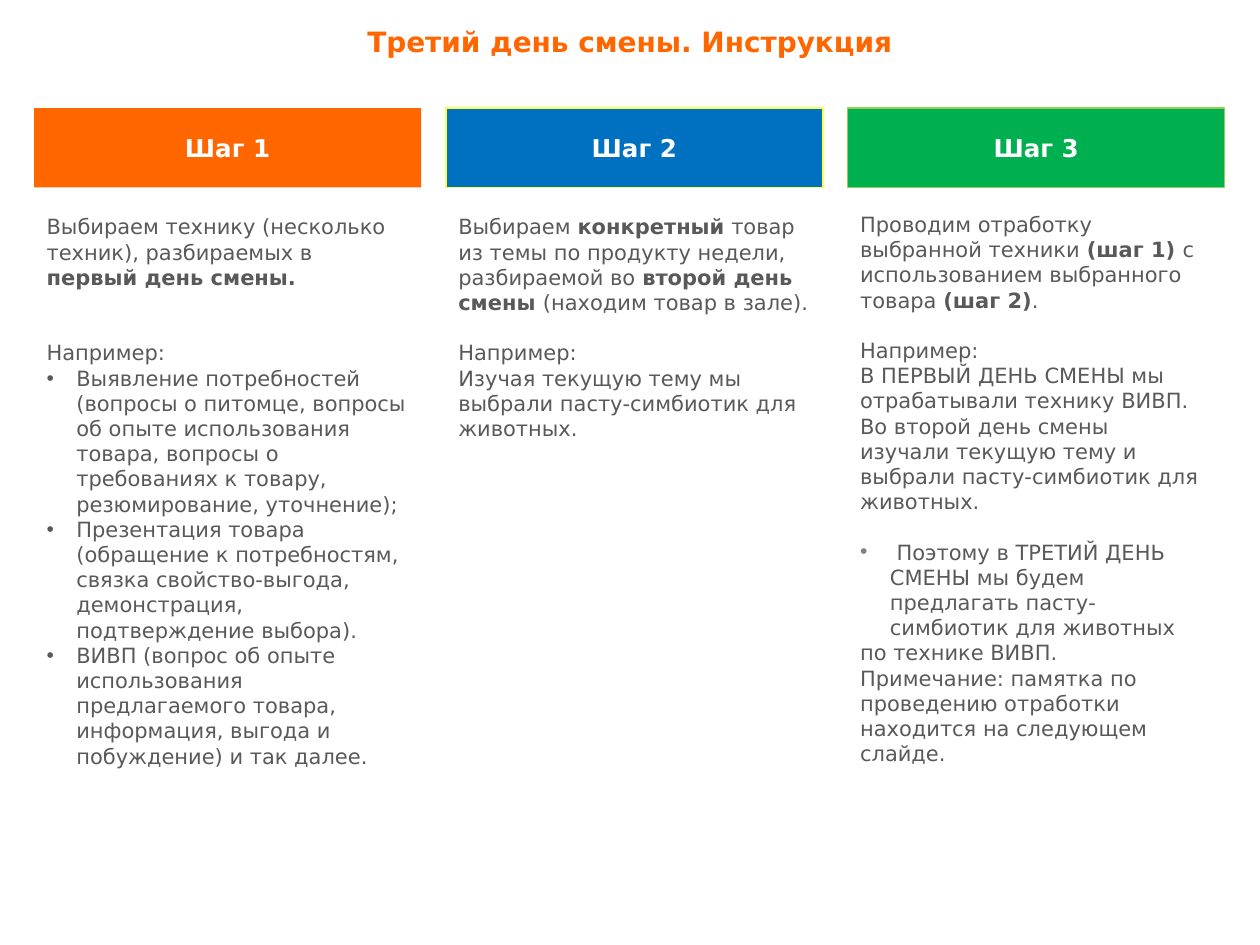
from lxml import etree
from pptx import Presentation
from pptx import util as u
from pptx.dml.color import RGBColor
from pptx.enum import shapes, text
from pptx.oxml import ns

GREY = "595959"
GAP = 14.4


def tint(code):
    return RGBColor.from_string(code)


def dot(para, color):
    props = para._p.get_or_add_pPr()
    props.set("marL", str(u.Cm(0.6)))
    props.set("indent", str(-u.Cm(0.6)))
    shade = etree.SubElement(props, ns.qn("a:buClr"))
    etree.SubElement(shade, ns.qn("a:srgbClr"), val=color)
    etree.SubElement(props, ns.qn("a:buFont"), typeface="Arial")
    etree.SubElement(props, ns.qn("a:buChar"), char="•")


def write(frame, words, size=12, color=GREY, bold=False, align="LEFT", bullet=None, before=0):
    para = frame.paragraphs[0] if not frame.text else frame.add_paragraph()
    if bullet:
        dot(para, bullet)
    para.alignment = getattr(text.PP_ALIGN, align)
    if before:
        para.space_before = u.Pt(before)
    for index, part in enumerate(words.split("*")):
        if part:
            run = para.add_run()
            run.text = part
            run.font.name = "DejaVu Sans"
            run.font.size = u.Pt(size)
            run.font.bold = bold or index % 2 == 1
            run.font.color.rgb = tint(color)


class Deck:
    def __init__(self):
        self.show = Presentation()
        self.show.slide_width = u.Cm(25.4)
        self.show.slide_height = u.Cm(19.05)
        self.slide = self.show.slides.add_slide(self.show.slide_layouts[6])

    def label(self, left, top, width, height):
        box = self.slide.shapes.add_textbox(*map(u.Cm, (left, top, width, height)))
        box.text_frame.word_wrap = True
        return box.text_frame

    def title(self, words):
        write(self.label(0, 0.38, 25.4, 0.94), words, size=16, color="FF6600",
              bold=True, align="CENTER")

    def head(self, words, left, width, fill, edge):
        box = self.slide.shapes.add_shape(
            shapes.MSO_SHAPE.RECTANGLE, *map(u.Cm, (left, 2.18, width, 1.6)))
        box.shadow.inherit = False
        box.fill.solid()
        box.fill.fore_color.rgb = tint(fill)
        if edge:
            box.line.color.rgb = tint(edge)
            box.line.width = u.Pt(0.75)
        else:
            box.line.fill.background()
        box.text_frame.vertical_anchor = text.MSO_ANCHOR.MIDDLE
        write(box.text_frame, words, size=14, color="FFFFFF", bold=True, align="CENTER")

    def body(self, left, top, width, height, paras):
        frame = self.label(left, top, width, height)
        for words, style in paras:
            write(frame, words, **style)


def main():
    plain = {}
    apart = {"before": GAP}
    item = {"bullet": GREY}
    steps = [
        ("Шаг 1", 0.69, 7.8, "FF6600", None, (4.19, 7.8, 12.6), [
            ("Выбираем технику (несколько техник), разбираемых в *первый день смены.*", plain),
            ("Например:", {"before": 2 * GAP}),
            ("Выявление потребностей (вопросы о питомце, вопросы об опыте использования "
             "товара, вопросы о требованиях к товару, резюмирование, уточнение);", item),
            ("Презентация товара (обращение к потребностям, связка свойство-выгода, "
             "демонстрация, подтверждение выбора).", item),
            ("ВИВП (вопрос об опыте использования предлагаемого товара, информация, "
             "выгода и побуждение) и так далее.", item),
        ]),
        ("Шаг 2", 8.99, 7.6, "0070C0", "FFFF47", (4.19, 7.6, 7.6), [
            ("Выбираем *конкретный* товар из темы по продукту недели, разбираемой во "
             "*второй день смены *(находим товар в зале).", plain),
            ("Например:", apart),
            ("Изучая текущую тему мы выбрали пасту-симбиотик для животных.", plain),
        ]),
        ("Шаг 3", 17.09, 7.6, "00B050", "92D050", (4.14, 7.4, 12.6), [
            ("Проводим отработку выбранной техники *(шаг 1) *с использованием "
             "выбранного товара *(шаг 2)*.", plain),
            ("Например:", apart),
            ("В ПЕРВЫЙ ДЕНЬ СМЕНЫ мы отрабатывали технику ВИВП. Во второй день смены "
             "изучали текущую тему и выбрали пасту-симбиотик для животных.", plain),
            (" Поэтому в ТРЕТИЙ ДЕНЬ СМЕНЫ мы будем предлагать пасту-симбиотик "
             "для животных", {"bullet": "808080", "before": GAP}),
            ("по технике ВИВП.", plain),
            ("Примечание: памятка по проведению отработки находится на следующем слайде.", plain),
        ]),
    ]
    deck = Deck()
    deck.title("Третий день смены. Инструкция")
    for name, left, width, fill, edge, (top, wide, high), paras in steps:
        deck.head(name, left, width, fill, edge)
        deck.body(left, top, wide, high, paras)
    deck.show.save("out.pptx")


if __name__ == "__main__":
    main()
